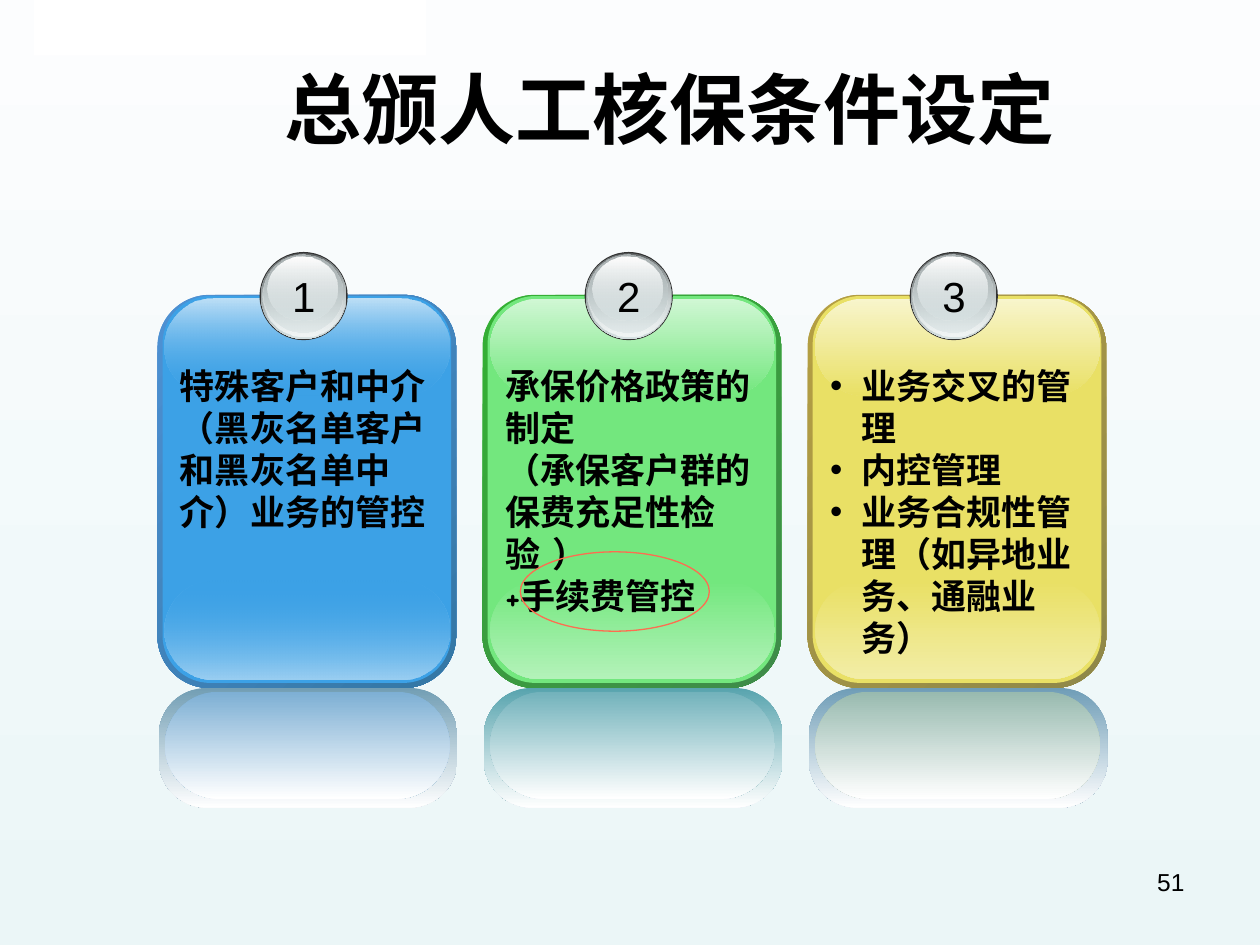
import pptx
import pptx.dml.color
import pptx.enum.shapes
import pptx.enum.text
import pptx.oxml.ns
import pptx.util
from lxml import etree

Inches = pptx.util.Inches
SHAPE = pptx.enum.shapes.MSO_SHAPE
ALIGN = pptx.enum.text.PP_ALIGN
FIT = pptx.enum.text.MSO_AUTO_SIZE
qn = pptx.oxml.ns.qn

HEX = {
    "black": "000000", "white": "FFFFFF", "ring": "FE6D50", "rim": "333333",
    "sky": "FCFDFE", "mist": "EBF6F7", "steel": "636869", "pale": "D6E1E2",
    "frost": "F1F5F5", "grey": "AAB2B3",
    "blue": "3CA1E6", "blue_rim": "4E91D4", "blue_dark": "3477A4",
    "blue_low": "9BCFF2", "blue_top": "BEE0F7",
    "blue_edge": "729EB4", "blue_glow": "7DAFD4",
    "green": "73E77E", "green_rim": "34B034", "green_dark": "3F8B4A",
    "green_low": "B3F2B9", "green_top": "D0F7D4",
    "green_edge": "58A4AE", "green_glow": "72B2BB",
    "gold": "E9E065", "gold_rim": "B59F43", "gold_dark": "8F8849",
    "gold_low": "F2EDA6", "gold_top": "F8F5CC",
    "gold_edge": "6F9DB7", "gold_glow": "98BAAF",
}

CARDS = [
    ("blue", 0, False, ["特殊客户和中介（黑灰名单客户和黑灰名单中介）业务的管控"]),
    ("green", None, False,
     ["承保价格政策的制定", "（承保客户群的保费充足性检验 ）", "+手续费管控"]),
    ("gold", None, True,
     ["业务交叉的管理", "内控管理", "业务合规性管理（如异地业务、通融业务）"]),
]
DISCS = [
    (0.81, 2, 0.7, 0.7, ["rim"]),
    (0.82, 2.01, 0.68, 0.68, ["steel", "pale"]),
    (0.83, 2.01, 0.66, 0.66, [("pale", 0), "frost"]),
    (0.84, 2.02, 0.63, 0.62, ["grey", ("pale", 48)]),
    (0.87, 2.04, 0.56, 0.5, ["white", ("pale", 38)]),
]
LEFT, STEP = 1.25, 2.58


def rgb(name):
    return pptx.dml.color.RGBColor.from_string(HEX[name])


def blend(fill, names, angle=90):
    fill.gradient()
    fill.gradient_angle = 360 - angle
    for stop, name, place in zip(fill.gradient_stops, names, (0, 1)):
        stop.color.rgb = rgb(name)
        stop.position = place


def paint(shape, tones, angle=90):
    pairs = [(t, None) if isinstance(t, str) else t for t in tones]
    names = [name for name, _ in pairs]
    if len(names) == 1:
        shape.fill.solid()
        shape.fill.fore_color.rgb = rgb(names[0])
        return
    blend(shape.fill, names, angle)
    nodes = shape._element.spPr.iter(qn("a:srgbClr"))
    for node, (_, alpha) in zip(list(nodes), pairs):
        if alpha is not None:
            etree.SubElement(node, qn("a:alpha"), val=str(alpha * 1000))


def draw(shapes, kind, box, tones=None, angle=90, round=None):
    shape = shapes.add_shape(kind, *map(Inches, box))
    shape.shadow.inherit = False
    shape.line.fill.background()
    if round is not None:
        shape.adjustments[0] = round
    if tones:
        paint(shape, tones, angle)
    else:
        shape.fill.background()
    return shape


def dot(para):
    props = para._p.get_or_add_pPr()
    props.set("marL", str(Inches(0.25)))
    props.set("indent", str(-Inches(0.25)))
    color = etree.SubElement(props, qn("a:buClr"))
    etree.SubElement(color, qn("a:srgbClr"), val=HEX["black"])
    etree.SubElement(props, qn("a:buFont"), typeface="Arial")
    etree.SubElement(props, qn("a:buChar"), char="•")


def write(shape, *lines, size=20, face="Arial", bold=False,
          align=ALIGN.LEFT, wrap=True, fit=FIT.NONE, bullet=False):
    frame = shape.text_frame
    frame.word_wrap = wrap
    frame.auto_size = fit
    frame.vertical_anchor = pptx.enum.text.MSO_ANCHOR.TOP
    for index, line in enumerate(lines):
        para = frame.add_paragraph() if index else frame.paragraphs[0]
        para.alignment = align
        if bullet:
            dot(para)
        run = para.add_run()
        run.text = line
        font = run.font
        font.size, font.bold, font.name = pptx.util.Pt(size), bold, face
        font.color.rgb = rgb("black")
        etree.SubElement(run._r.get_or_add_rPr(), qn("a:ea"), typeface=face)


def label(shapes, box, *lines, **style):
    write(shapes.add_textbox(*map(Inches, box)), *lines, **style)


def badge(shapes, left, number):
    for shift, top, width, height, tones in DISCS:
        draw(shapes, SHAPE.OVAL, (left + shift, top, width, height), tones)
    label(shapes, (left + 0.97, 2.1, 0.38, 0.5), str(number), size=24,
          align=ALIGN.CENTER, wrap=False, fit=FIT.SHAPE_TO_FIT_TEXT)


def card(slide, index, hue, alpha, bullet, lines):
    shapes = slide.shapes.add_group_shape().shapes
    left = LEFT + index * STEP
    layers = [
        (0, 2.34, 2.37, 3.12, [hue + "_rim", hue + "_dark"], 45, 0.175),
        (0.04, 2.35, 2.29, 3.07, [hue], 90, 0.165),
        (0.06, 4.61, 2.26, 0.78, [(hue, alpha), hue + "_low"], 90, 0.5),
        (0.06, 2.37, 2.26, 0.77, [hue + "_top", (hue, alpha)], 90, 0.5),
        (0.01, 5.46, 2.37, 0.95, [hue + "_edge", "white"], 90, 0.4),
        (0.06, 5.49, 2.26, 0.85, [hue + "_glow", "white"], 90, 0.5),
    ]
    for shift, top, width, height, tones, angle, round in layers:
        draw(shapes, SHAPE.ROUNDED_RECTANGLE,
             (left + shift, top, width, height), tones, angle, round)
    badge(shapes, left, index + 1)
    label(shapes, (left + 0.08, 2.84, 2.25, 2.1), *lines,
          face="Comic Neue", bold=True, bullet=bullet)


def head(slide, text):
    title = slide.shapes.title
    title.left, title.top, title.width, title.height = map(
        Inches, (2.16, 0.44, 6.61, 0.84))
    write(title, text, size=44, bold=True)


def main():
    deck = pptx.Presentation()
    deck.slide_width, deck.slide_height = Inches(10), Inches(7.5)
    slide = deck.slides.add_slide(deck.slide_layouts[5])
    blend(slide.background.fill, ["sky", "mist"])
    draw(slide.shapes, SHAPE.RECTANGLE, (0.27, 0, 3.11, 0.44), ["white"])
    head(slide, "总颁人工核保条件设定")
    for index, item in enumerate(CARDS):
        card(slide, index, *item)
    ring = draw(slide.shapes, SHAPE.OVAL, (4.13, 4.38, 1.5, 0.63))
    ring.line.color.rgb = rgb("ring")
    ring.line.width = pptx.util.Pt(0.75)
    label(slide.shapes, (7.17, 6.83, 2.33, 0.52), "51", size=14,
          align=ALIGN.RIGHT)
    deck.save("out.pptx")


if __name__ == "__main__":
    main()
